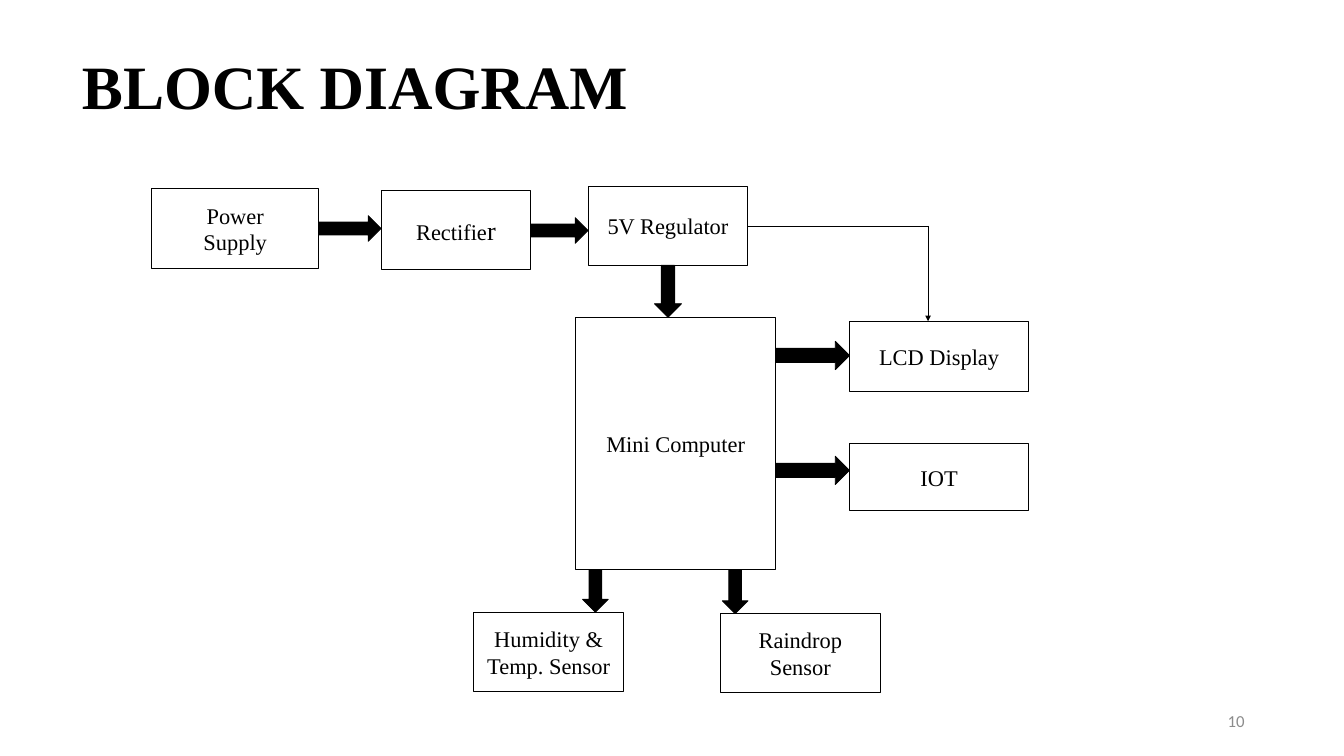
from dataclasses import dataclass

from lxml.etree import SubElement
from pptx import Presentation
from pptx.dml.color import RGBColor as Color
from pptx.enum.shapes import MSO_CONNECTOR as Connector, MSO_SHAPE as Shape
from pptx.enum.text import MSO_ANCHOR as Anchor, MSO_AUTO_SIZE as AutoSize, PP_ALIGN as Align
from pptx.oxml.ns import qn
from pptx.util import Inches, Pt

COLUMNS, ROWS = 80, 45
CELL = Inches(20) // COLUMNS


@dataclass(frozen=True)
class Theme:
    """Colours, fonts and type sizes of the slide."""
    ink = Color(0, 0, 0)
    paper = Color(255, 255, 255)
    muted = Color(0x8C, 0x8C, 0x8C)
    serif = "Times New Roman"
    sans = "Calibri"
    title = Pt(66)
    label = Pt(24)
    large = Pt(28)
    number = Pt(18)
    outline = Pt(1)
    hairline = Pt(0.5)


@dataclass(frozen=True)
class Box:
    """A rectangle measured in grid cells."""
    left: float
    top: float
    width: float
    height: float

    @property
    def right(self):
        """Return the right edge."""
        return self.left + self.width

    @property
    def bottom(self):
        """Return the bottom edge."""
        return self.top + self.height

    def inner(self, left, top, width, height):
        """Return a box placed relative to this one."""
        return Box(self.left + left, self.top + top, width, height)

    def lengths(self):
        """Return left, top, width and height as slide lengths."""
        return [cells(value) for value in (self.left, self.top, self.width, self.height)]


THEME = Theme()
TITLE_BOX = Box(4.48, 0.96, 69, 8.68)
NUMBER_BOX = Box(56.48, 41.72, 18, 2.4)
DIAGRAM_BOX = Box(9, 11, 53, 31)

LABEL = dict(name=THEME.serif, size=THEME.label)
LARGE = dict(name=THEME.serif, size=THEME.large)

BLOCKS = {
    "power": ((0.04, 0.24, 9.92, 4.72), [[("Power", LABEL)], [("Supply", LABEL)]]),
    "rectifier": ((13.68, 0.32, 8.92, 4.72), [[("Rectifie", LABEL), ("r", LARGE)]]),
    "regulator": ((26, 0.08, 9.52, 4.72), [[("5V Regulator", LABEL)]]),
    "display": ((41.56, 8.12, 10.68, 4.16), [[("LCD Display", LABEL)]]),
    "iot": ((41.56, 15.4, 10.68, 4), [[("IOT", LABEL)]]),
    "raindrop": ((33.88, 25.52, 9.52, 4.72), [[("Raindrop Sensor", LABEL)]]),
    "humidity": ((19.2, 25.44, 8.92, 4.72),
                 [[("Humidity &", LABEL)], [("Temp. Sensor", LABEL)]]),
    "controller": ((25.28, 7.88, 11.88, 15.04), [[("Mini Computer", LABEL)]]),
}
RIGHT_ARROWS = [
    ("power", "rectifier", 2.6, 1.52),
    ("rectifier", "regulator", 2.72, 1.52),
    ("controller", "display", 10.16, 1.68),
    ("controller", "iot", 17, 1.68),
]
DOWN_ARROWS = [
    ("regulator", "controller", 30.76, 1.6),
    ("controller", "humidity", 26.44, 1.52),
    ("controller", "raindrop", 34.76, 1.52),
]
DISPLAY_FEED_COLUMN = 46.24


def cells(count):
    """Convert grid cells to a slide length."""
    return round(count * CELL)


def apply(target, values):
    """Set every attribute named in a dict of format values."""
    for name, value in values.items():
        setattr(target, name, value)


def write(frame, paragraphs, align, color=THEME.ink):
    """Fill a text frame with paragraphs of formatted runs."""
    apply(frame, dict(word_wrap=True, auto_size=AutoSize.NONE, vertical_anchor=Anchor.MIDDLE))
    for index, runs in enumerate(paragraphs):
        paragraph = frame.add_paragraph() if index else frame.paragraphs[0]
        paragraph.alignment = align
        for text, font in runs:
            run = paragraph.add_run()
            run.text = text
            apply(run.font, font)
            run.font.color.rgb = color


def add_solid(slide, kind, box, fill):
    """Add an outlined preset shape with a plain fill."""
    shape = slide.shapes.add_shape(kind, *box.lengths())
    shape.shadow.inherit = False
    shape.fill.solid()
    shape.fill.fore_color.rgb = fill
    shape.line.color.rgb = THEME.ink
    shape.line.width = THEME.outline
    return shape


def add_line(slide, start, end, head=False):
    """Add a thin straight connector, with an arrowhead if asked."""
    points = [cells(value) for value in (*start, *end)]
    line = slide.shapes.add_connector(Connector.STRAIGHT, *points)
    line.line.color.rgb = THEME.ink
    line.line.width = THEME.hairline
    properties = line.element.spPr
    if head:
        SubElement(properties.find(qn("a:ln")), qn("a:tailEnd"), type="triangle")
    SubElement(properties, qn("a:effectLst"))
    return line


def add_title(slide, box):
    """Place the title placeholder."""
    title = slide.shapes.title
    apply(title, dict(zip(("left", "top", "width", "height"), box.lengths())))
    font = dict(name=THEME.serif, size=THEME.title, bold=True)
    write(title.text_frame, [[("BLOCK DIAGRAM", font)]], Align.LEFT)
    title.text_frame.paragraphs[0].line_spacing = 0.9


def add_number(slide, box):
    """Place the slide number."""
    number = slide.shapes.add_textbox(*box.lengths())
    font = dict(name=THEME.sans, size=THEME.number)
    write(number.text_frame, [[("10", font)]], Align.RIGHT, THEME.muted)


def add_diagram(slide, box):
    """Place the blocks, the arrows between them and the display feed."""
    boxes = {name: box.inner(*place) for name, (place, _) in BLOCKS.items()}
    shapes = {}
    for name, (_, paragraphs) in BLOCKS.items():
        shapes[name] = add_solid(slide, Shape.RECTANGLE, boxes[name], THEME.paper)
        write(shapes[name].text_frame, paragraphs, Align.CENTER)

    for source, target, row, thickness in RIGHT_ARROWS:
        start, end = boxes[source].right, boxes[target].left
        arrow = Box(start, box.top + row - thickness / 2, end - start, thickness)
        add_solid(slide, Shape.RIGHT_ARROW, arrow, THEME.ink)
    for source, target, column, thickness in DOWN_ARROWS:
        start, end = boxes[source].bottom, boxes[target].top
        arrow = Box(box.left + column - thickness / 2, start, thickness, end - start)
        add_solid(slide, Shape.DOWN_ARROW, arrow, THEME.ink)

    regulator = boxes["regulator"]
    middle = regulator.top + regulator.height / 2
    corner = (box.left + DISPLAY_FEED_COLUMN, middle)
    feed = add_line(slide, (regulator.right, middle), corner)
    feed.begin_connect(shapes["regulator"], 3)
    add_line(slide, corner, (corner[0], boxes["display"].top), head=True)


def main():
    """Build and save the presentation."""
    presentation = Presentation()
    apply(presentation, dict(slide_width=cells(COLUMNS), slide_height=cells(ROWS)))
    slide = presentation.slides.add_slide(presentation.slide_layouts[5])
    add_title(slide, TITLE_BOX)
    add_number(slide, NUMBER_BOX)
    add_diagram(slide, DIAGRAM_BOX)
    presentation.save("out.pptx")


if __name__ == "__main__":
    main()
